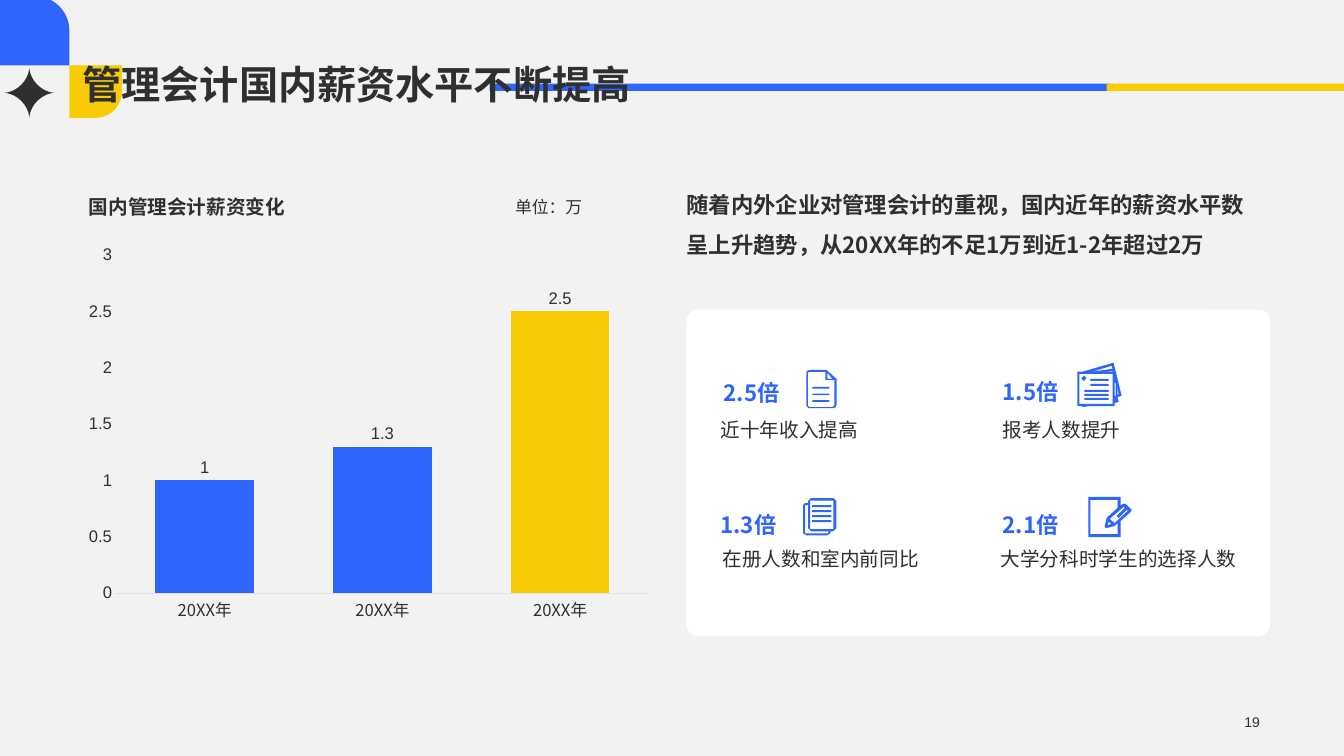
from math import cos, pi, sin

from lxml import etree
from pptx import Presentation
from pptx.chart.data import CategoryChartData
from pptx.dml.color import RGBColor
from pptx.enum.chart import XL_CHART_TYPE, XL_LABEL_POSITION, XL_TICK_MARK
from pptx.enum.shapes import MSO_SHAPE
from pptx.enum.text import MSO_ANCHOR, PP_ALIGN
from pptx.oxml import parse_xml
from pptx.oxml.ns import nsdecls, qn
from pptx.util import Cm, Pt

BLUE = RGBColor(0x2E, 0x65, 0xFB)
YELLOW = RGBColor(0xF9, 0xCB, 0x05)
DARK = RGBColor(0x2F, 0x2F, 0x2F)
WHITE = RGBColor(0xFF, 0xFF, 0xFF)
PALE = RGBColor(0xF2, 0xF2, 0xF2)
AXIS_GREY = RGBColor(0xE0, 0xE0, 0xE0)
SANS, ARIAL = "Noto Sans CJK SC", "Arial"
RECT, ROUND_ONE, ROUND_ALL = (
    MSO_SHAPE.RECTANGLE, MSO_SHAPE.ROUND_1_RECTANGLE, MSO_SHAPE.ROUNDED_RECTANGLE)
TOP, MIDDLE, BOTTOM = MSO_ANCHOR.TOP, MSO_ANCHOR.MIDDLE, MSO_ANCHOR.BOTTOM
LEFT, RIGHT = PP_ALIGN.LEFT, PP_ALIGN.RIGHT
COLUMNS, OUTSIDE, NO_TICKS = (
    XL_CHART_TYPE.COLUMN_CLUSTERED, XL_LABEL_POSITION.OUTSIDE_END, XL_TICK_MARK.NONE)

prs = Presentation()
prs.slide_width, prs.slide_height = Cm(33.87), Cm(19.05)
slide = prs.slides.add_slide(prs.slide_layouts[6])
slide.background.fill.solid()
slide.background.fill.fore_color.rgb = PALE


def add_text(words, box, size, color=DARK, bold=False, font=SANS, spacing=1.2,
             margins=(0, 0), anchor=TOP, align=LEFT):
    frame = slide.shapes.add_textbox(*map(Cm, box)).text_frame
    frame.word_wrap = True
    frame.vertical_anchor = anchor
    frame.margin_left = frame.margin_right = Cm(margins[0])
    frame.margin_top = frame.margin_bottom = Cm(margins[1])
    paragraph = frame.paragraphs[0]
    paragraph.text = words
    paragraph.line_spacing = spacing
    paragraph.alignment = align
    paragraph.font.size = Pt(size)
    paragraph.font.bold = bold
    paragraph.font.color.rgb = color
    paragraph.font.name = font
    etree.SubElement(paragraph.font._element, qn("a:ea"), typeface=SANS)


def add_outline(contours, left, top, color):
    unit = Cm(0.0254)
    builder = None
    for contour in contours:
        if not isinstance(contour[0], tuple):
            x1, y1, x2, y2 = contour
            contour = [(x1, y1), (x2, y1), (x2, y2), (x1, y2)]
        points = [(x * unit, y * unit) for x, y in contour]
        if builder is None:
            builder = slide.shapes.build_freeform(*points[0], scale=1.0)
        else:
            builder.move_to(*points[0])
        builder.add_line_segments(points[1:], close=True)
    outline = builder.convert_to_shape(Cm(left), Cm(top))
    outline.shadow.inherit = False
    outline.fill.solid()
    outline.fill.fore_color.rgb = color
    outline.line.fill.background()


blocks = [
    (ROUND_ONE, (1.75, 1.65, 1.32, 1.32), YELLOW, 90, 0.5),
    (ROUND_ONE, (0, -0.1, 1.75, 1.75), BLUE, 0, 0.5),
    (RECT, (12.34, 2.11, 15.65, 0.18), BLUE, 0, None),
    (RECT, (27.89, 2.11, 5.98, 0.18), YELLOW, 0, None),
    (ROUND_ALL, (17.3, 7.8, 14.71, 8.23), WHITE, 0, 0.037),
]
for kind, box, color, rotation, rounding in blocks:
    block = slide.shapes.add_shape(kind, *map(Cm, box))
    block.shadow.inherit = False
    block.fill.solid()
    block.fill.fore_color.rgb = color
    block.line.fill.background()
    block.rotation = rotation
    if rounding is not None:
        block.adjustments[0] = rounding

star = []
for step in range(48):
    c, s = cos(step * pi / 24), sin(step * pi / 24)
    star.append((25 * c * abs(c) ** 2.3, 25 * s * abs(s) ** 2.3))
add_outline([star], 0.74, 2.34, DARK)

add_text("管理会计国内薪资水平不断提高", (1.83, 0, 30.18, 2.84), 28, bold=True, font=ARIAL,
         spacing=0.9, margins=(0.25, 0.13), anchor=BOTTOM)
add_text("国内管理会计薪资变化", (2.24, 4.9, 5.59, 0.66), 14, bold=True, spacing=1.0)
add_text("单位：万", (12.98, 4.85, 2.16, 0.56), 12)
add_text("随着内外企业对管理会计的重视，国内近年的薪资水平数呈上升趋势，从20XX年的不足1万到近1-2年超过2万",
         (17.3, 4.47, 14.35, 1.93), 16, bold=True, spacing=1.5)
add_text("19", (24.61, 17.88, 7.39, 0.61), 10, font=ARIAL, spacing=1.0,
         margins=(0.25, 0.13), anchor=MIDDLE, align=RIGHT)

salaries = CategoryChartData()
salaries.categories = ["20XX年"] * 3
salaries.add_series("Series 1", (1, 1.3, 2.5))
chart = slide.shapes.add_chart(COLUMNS, Cm(2.24), Cm(6.02), Cm(14.3), Cm(10.69), salaries).chart
chart.has_legend = False
chart.has_title = False
chart.font.size = Pt(10)
chart.font.name = ARIAL
chart.font.color.rgb = DARK
plot = chart.plots[0]
plot.gap_width = 80
plot.vary_by_categories = False
plot.has_data_labels = True
plot.data_labels.show_value = True
plot.data_labels.position = OUTSIDE
years, amounts = chart.category_axis, chart.value_axis
for font, face in ((years.tick_labels.font, SANS), (amounts.tick_labels.font, ARIAL),
                   (plot.data_labels.font, ARIAL)):
    font.size = Pt(12)
    font.name = face
    font.color.rgb = DARK
    etree.SubElement(font._element, qn("a:ea"), typeface=SANS)
for axis in (years, amounts):
    axis.major_tick_mark = axis.minor_tick_mark = NO_TICKS
    axis.has_major_gridlines = False
years.format.line.color.rgb = AXIS_GREY
years.format.line.width = Pt(0.75)
amounts.format.line.fill.background()
amounts.minimum_scale, amounts.maximum_scale, amounts.major_unit = 0, 3, 0.5
bars = plot.series[0]
for bar_format, color in ((bars.format, BLUE), (bars.points[2].format, YELLOW)):
    bar_format.fill.solid()
    bar_format.fill.fore_color.rgb = color

plot_area = chart._chartSpace.chart.plotArea
for old_layout in plot_area.findall(qn("c:layout")):
    plot_area.remove(old_layout)
plot_area.insert(0, parse_xml(
    f'<c:layout {nsdecls("c")}><c:manualLayout><c:layoutTarget val="inner"/>'
    '<c:xMode val="edge"/><c:yMode val="edge"/><c:x val="0.036"/><c:y val="0.038"/>'
    '<c:w val="0.951"/><c:h val="0.797"/></c:manualLayout></c:layout>'))

document = [
    [(3, 0), (20, 0), (30, 9), (30, 35), (29, 37), (27, 38), (3, 38), (1, 37), (0, 35), (0, 3), (1, 1)],
    [(3, 2), (19, 2), (19, 10), (28, 10), (28, 35), (26, 37), (3, 37), (1.5, 35), (1.5, 3)],
    [(21, 3), (21, 9), (26, 9)],
    *[(6, y, 23, y + 1.7) for y in (17, 23.5, 30)],
]
papers = [
    [(36, 0), (44, 33), (40, 34), (41, 39), (37, 40), (37, 43), (13, 43), (5, 44), (5, 43),
     (0, 43), (0, 9), (5, 9)],
    (2, 11, 35, 41),
    [(35, 8), (26, 9), (35, 9)],
    [(34, 3), (15, 9), (35, 6)],
    [(39, 21), (40, 32), (41, 32)],
    (37, 20, 38, 33),
    [(4, 15), (7, 13), (9, 15), (7, 18), (5, 17)],
    *[(13, y, 31, y + 2) for y in (16, 21)],
    *[(7, y, 31, y + 2) for y in (27, 31, 35)],
]
copies = [
    [(8, 0), (30, 0), (33, 3), (33, 30), (30, 33), (8, 33), (5, 30), (5, 3)],
    (7, 2.5, 30, 31),
    [(2, 5), (5, 5), (5, 30), (8, 33), (27, 33), (27, 35), (24, 37), (3, 37), (0, 35), (0, 7)],
    [(2, 7), (5, 7), (5, 30), (8, 33), (25, 33), (25, 35), (2, 35)],
    *[(9, y, 28, y + 2) for y in (7, 12, 17, 22)],
]
note_pencil = [
    [(0, 0), (32, 0), (32, 9), (34, 7), (37, 7), (43, 13), (42, 15), (32, 24), (32, 40), (0, 40)],
    [(2, 3), (29, 3), (29, 11), (18, 21), (16, 30), (18, 31), (26, 29), (29, 26), (29, 37), (2, 37)],
    [(20, 25), (23, 27), (19, 28)],
    [(26, 26), (21, 22), (35, 10), (36, 11), (28, 19), (30, 21), (38, 13), (39, 14)],
]
stats = [
    ("2.5倍", 18.24, 9.42, "近十年收入提高", 18.16, 10.41, document, 20.32, 9.32),
    ("1.5倍", 25.27, 9.4, "报考人数提升", 25.27, 10.41, papers, 27.15, 9.14),
    ("1.3倍", 18.16, 12.75, "在册人数和室内前同比", 18.21, 13.67, copies, 20.24, 12.55),
    ("2.1倍", 25.27, 12.75, "大学分科时学生的选择人数", 25.22, 13.67, note_pencil, 27.43, 12.52),
]
for ratio, ratio_x, ratio_y, label, label_x, label_y, icon, icon_x, icon_y in stats:
    add_text(ratio, (ratio_x, ratio_y, 1.7, 0.76), 16, BLUE, bold=True)
    add_text(label, (label_x, label_y, 6.02, 0.66), 14)
    add_outline(icon, icon_x, icon_y, BLUE)

prs.save("out.pptx")
